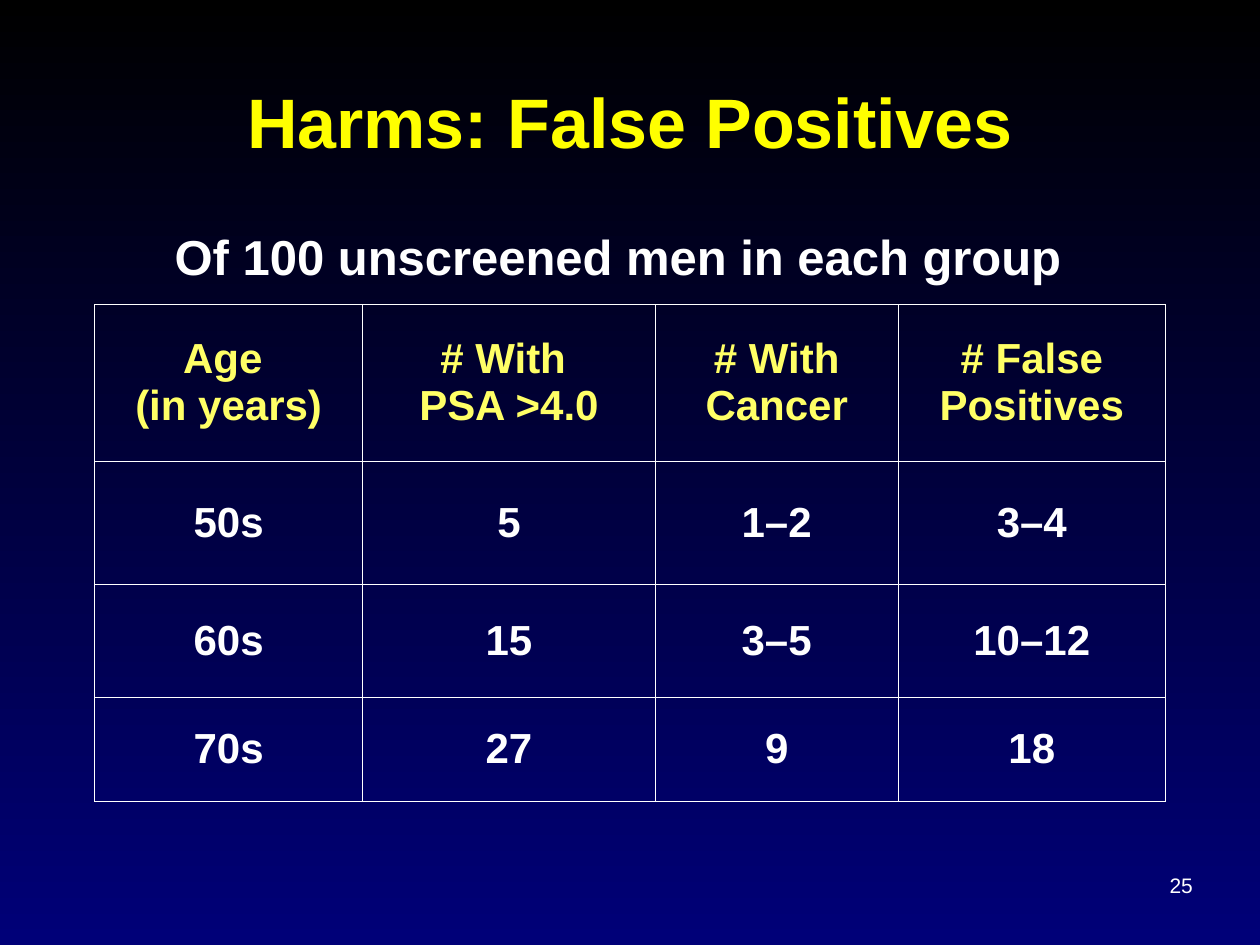
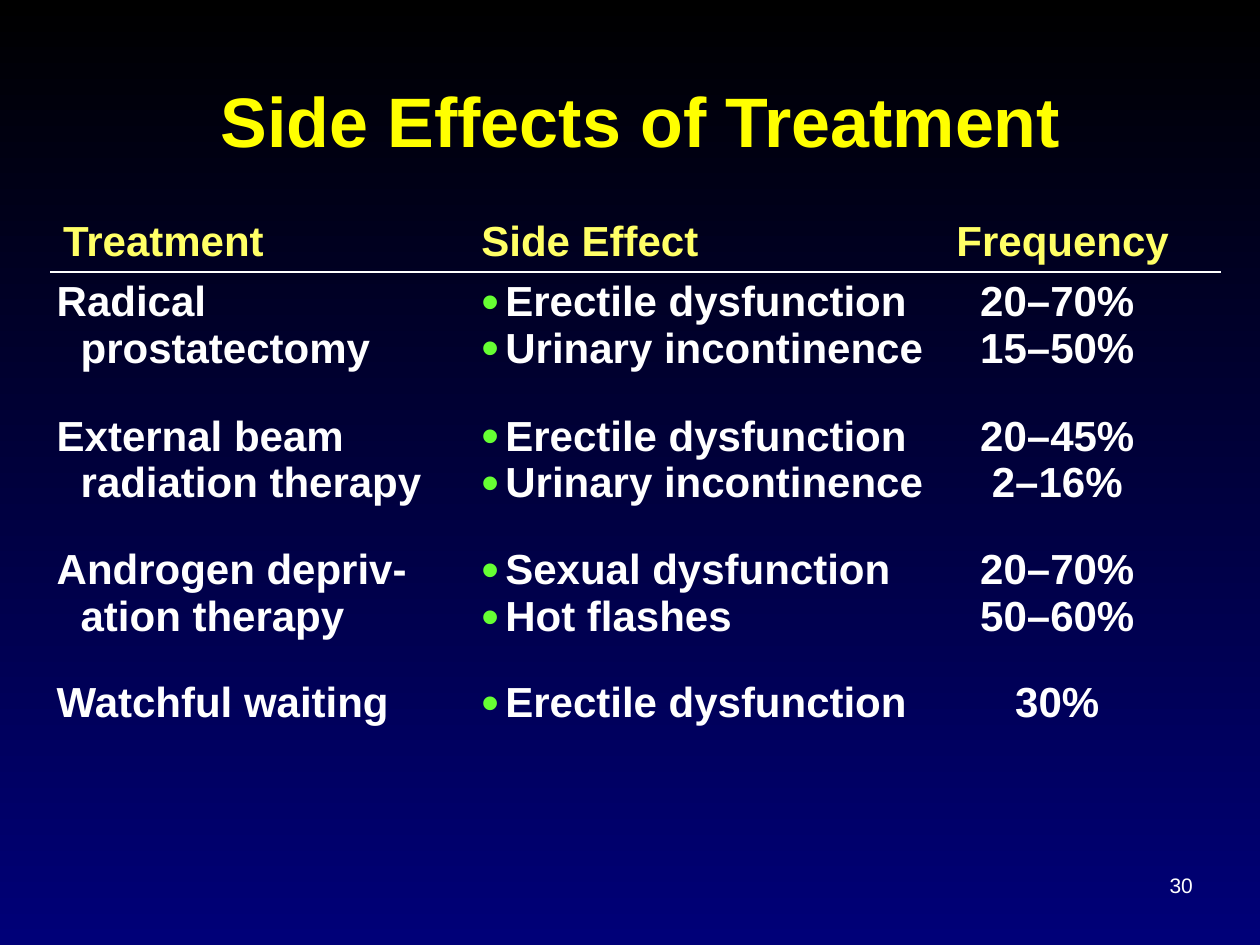
from itertools import product

from lxml.etree import SubElement
from pptx import Presentation
from pptx.dml.color import RGBColor
from pptx.enum.text import MSO_ANCHOR, PP_ALIGN
from pptx.oxml.ns import qn
from pptx.util import Inches, Pt

BLACK = RGBColor(0x00, 0x00, 0x00)
NAVY = RGBColor(0x00, 0x00, 0x78)
WHITE = RGBColor(0xFF, 0xFF, 0xFF)
TITLE_YELLOW = RGBColor(0xFF, 0xFF, 0x00)
HEAD_YELLOW = RGBColor(0xFF, 0xFF, 0x66)
BULLET_GREEN = RGBColor(0x66, 0xFF, 0x33)
FONT = "Arial"
WIDTH, HEIGHT = Inches(10), Inches(7.5)
UNIT = WIDTH / 24  # square grid of 24 columns by 18 rows
HANGING = Inches(0.19)
NUMBER_BOX = (22, 16.5, 1, 0.72)

FALSE_POSITIVES = [
    ["Age \n(in years)", "# With \nPSA >4.0", "# With Cancer", "# False Positives"],
    ["50s", "5", "1–2", "3–4"],
    ["60s", "15", "3–5", "10–12"],
    ["70s", "27", "9", "18"],
]
# A vertical tab breaks the line inside a paragraph
SIDE_EFFECTS = [
    ["Treatment", "Side Effect", "Frequency"],
    ["Radical\vprostatectomy",
     "Erectile dysfunction\nUrinary incontinence", "20–70%\n15–50%"],
    ["External beam\vradiation therapy",
     "Erectile dysfunction\nUrinary incontinence", "20–45%\n2–16%"],
    ["Androgen depriv-\vation therapy",
     "Sexual dysfunction\nHot flashes", "20–70%\n50–60%"],
    ["Watchful waiting", "Erectile dysfunction", "30%"],
]


def grid(*lengths):
    return [round(length * UNIT) for length in lengths]


def format_text(frame, size, color, bold=True, align=PP_ALIGN.CENTER):
    for para in frame.paragraphs:
        para.alignment = align
        for span in para.runs:
            span.font.name = FONT
            span.font.size = Pt(size)
            span.font.bold = bold
            span.font.color.rgb = color


def add_text(page, box, text, size, color, bold=True):
    frame = page.shapes.add_textbox(*grid(*box)).text_frame
    frame.word_wrap = True
    frame.text = text
    format_text(frame, size, color, bold)
    return frame


def hang(para, bullet=False):
    """Indent all lines but the first, with a green bullet if wanted."""
    props = para._p.get_or_add_pPr()
    props.set("marL", str(HANGING))
    props.set("indent", str(-HANGING))
    if bullet:
        color = SubElement(props, qn("a:buClr"))
        SubElement(color, qn("a:srgbClr"), val=str(BULLET_GREEN))
        SubElement(props, qn("a:buSzPct"), val="120000")
        SubElement(props, qn("a:buFont"), typeface=FONT)
        SubElement(props, qn("a:buChar"), char="•")


def set_borders(cell, sides, points):
    """Draw white lines on the named sides and none on the others."""
    props = cell._tc.get_or_add_tcPr()
    for side in "LRTB":
        line = SubElement(props, qn(f"a:ln{side}"), w=str(Pt(points)))
        if side in sides:
            fill = SubElement(line, qn("a:solidFill"))
            SubElement(fill, qn("a:srgbClr"), val=str(WHITE))
        else:
            SubElement(line, qn("a:noFill"))


def add_grid_table(page, corner, widths, heights, rows):
    box = grid(*corner, sum(widths), sum(heights))
    table = page.shapes.add_table(len(rows), len(widths), *box).table
    table.first_row = table.horz_banding = False
    for column, width in zip(table.columns, grid(*widths)):
        column.width = width
    for row, height in zip(table.rows, grid(*heights)):
        row.height = height
    for r, c in product(range(len(rows)), range(len(widths))):
        table.cell(r, c).text_frame.text = rows[r][c]
    return table


def add_page(deck, title, title_box, number):
    page = deck.slides.add_slide(deck.slide_layouts[6])
    add_text(page, NUMBER_BOX, number, 12, WHITE, bold=False)
    frame = add_text(page, title_box, title, 40, TITLE_YELLOW)
    frame.vertical_anchor = MSO_ANCHOR.MIDDLE
    frame.paragraphs[0].line_spacing = 0.9
    return page


def false_positives_page(deck):
    page = add_page(deck, "Harms: False Positives", (1, 1.4, 22, 2), "25")
    table = add_grid_table(page, (1.8, 5.8), (5.11, 5.57, 4.63, 5.09),
                           (2.98, 2.35, 2.16, 1.97), FALSE_POSITIVES)
    for index, cell in enumerate(table.iter_cells()):
        is_head = index < len(table.columns)
        cell.vertical_anchor = MSO_ANCHOR.MIDDLE
        set_borders(cell, "LRTB", 0.45)
        cell.fill.background()
        format_text(cell.text_frame, 24, HEAD_YELLOW if is_head else WHITE)
    # Caption above the table
    add_text(page, (1.8, 4.2, 20.2, 1.37),
             "Of 100 unscreened men in each group ", 28, WHITE)


def side_effects_page(deck):
    page = add_page(deck, "Side Effects of Treatment", (2, 1, 20.4, 2.75), "30")
    table = add_grid_table(page, (0.96, 3.84), (7.97, 9.05, 5.28),
                           (1.34, 2.57, 2.54, 2.54, 1.85), SIDE_EFFECTS)
    for index, cell in enumerate(table.iter_cells()):
        row, column = divmod(index, len(table.columns))
        # One rule between the heading and the body
        set_borders(cell, {0: "B", 1: "T"}.get(row, ""), 1.47)
        cell.fill.background()
        if row == 0:
            cell.vertical_anchor = MSO_ANCHOR.BOTTOM
            format_text(cell.text_frame, 24, HEAD_YELLOW, align=PP_ALIGN.LEFT)
            continue
        if column == 0:
            cell.margin_left = cell.margin_right = Inches(0.05)
        if column == 2:
            cell.margin_right = Inches(0.5)
        else:
            for para in cell.text_frame.paragraphs:
                hang(para, bullet=column == 1)
        format_text(cell.text_frame, 24, WHITE,
                    align=PP_ALIGN.CENTER if column == 2 else PP_ALIGN.LEFT)


def paint_background(deck):
    fill = deck.slide_master.background.fill
    fill.gradient()
    fill.gradient_angle = 270
    for stop, color, position in zip(fill.gradient_stops, (BLACK, NAVY), (0, 1)):
        stop.color.rgb = color
        stop.position = position


def main():
    deck = Presentation()
    deck.slide_width, deck.slide_height = WIDTH, HEIGHT
    paint_background(deck)
    false_positives_page(deck)
    side_effects_page(deck)
    deck.save("out.pptx")


if __name__ == "__main__":
    main()
